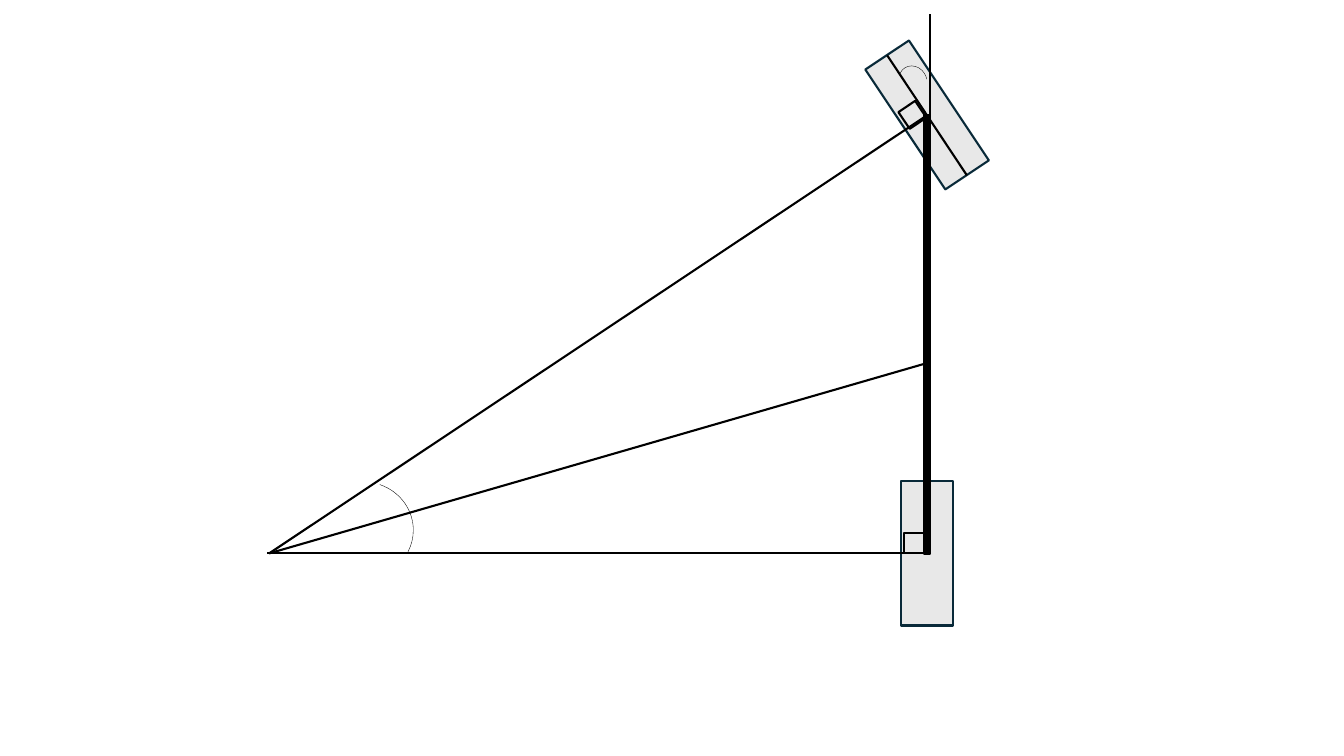
from dataclasses import dataclass
from typing import Optional

import pptx
import pptx.dml.color
import pptx.enum.shapes
import pptx.oxml.ns
import pptx.util
from lxml import etree

PX = pptx.util.Inches(1) // 100
SHAPES = pptx.enum.shapes.MSO_SHAPE
BLACK = pptx.dml.color.RGBColor(0x00, 0x00, 0x00)
TYRE_FILL = pptx.dml.color.RGBColor(0xE8, 0xE8, 0xE8)
TYRE_EDGE = pptx.dml.color.RGBColor(0x09, 0x2A, 0x39)
THIN, NORMAL = 0.25, 1.5
# Connection sites of a rectangle
LEFT, RIGHT = 1, 3


@dataclass(frozen=True)
class Figure:
    left: int
    top: int
    width: int
    height: int
    rotation: float = 0
    kind: SHAPES = SHAPES.RECTANGLE
    fill: Optional[pptx.dml.color.RGBColor] = None
    edge: pptx.dml.color.RGBColor = BLACK
    weight: float = NORMAL
    angles: tuple[float, ...] = ()


@dataclass(frozen=True)
class Joint:
    body: pptx.shapes.autoshape.Shape
    site: int


@dataclass(frozen=True)
class Segment:
    start: tuple[int, int]
    end: tuple[int, int]
    start_joint: Optional[Joint] = None
    end_joint: Optional[Joint] = None


def draw_figure(shapes, figure: Figure) -> pptx.shapes.autoshape.Shape:
    shape = shapes.add_shape(figure.kind, figure.left * PX, figure.top * PX,
                             figure.width * PX, figure.height * PX)
    shape.shadow.inherit = False
    shape.rotation = figure.rotation
    if figure.fill is None:
        shape.fill.background()
    else:
        shape.fill.solid()
        shape.fill.fore_color.rgb = figure.fill
    shape.line.color.rgb = figure.edge
    shape.line.width = pptx.util.Pt(figure.weight)
    for index, degrees in enumerate(figure.angles):
        shape.adjustments[index] = degrees * 0.6  # 60000 units a degree, scaled by 100000
    return shape


def draw_segment(shapes, segment: Segment) -> None:
    """Joins first, then sets both ends, since joining ignores rotation."""
    line = shapes.add_connector(pptx.enum.shapes.MSO_CONNECTOR.STRAIGHT, 0, 0, 0, 0)
    if segment.start_joint:
        line.begin_connect(segment.start_joint.body, segment.start_joint.site)
    if segment.end_joint:
        line.end_connect(segment.end_joint.body, segment.end_joint.site)
    line.begin_x, line.begin_y = (value * PX for value in segment.start)
    line.end_x, line.end_y = (value * PX for value in segment.end)
    line.line.color.rgb = BLACK
    line.line.width = pptx.util.Pt(NORMAL)
    properties = line._element.spPr
    etree.SubElement(properties, pptx.oxml.ns.qn("a:effectLst"))


def main() -> None:
    presentation = pptx.Presentation()
    presentation.slide_width = 1333 * PX
    presentation.slide_height = 750 * PX
    slide = presentation.slides.add_slide(presentation.slide_layouts[6])
    shapes = slide.shapes

    bicycle = shapes.add_group_shape().shapes
    draw_figure(bicycle, Figure(848, 523, 143, 52, 270, fill=TYRE_FILL, edge=TYRE_EDGE))
    front_wheel = draw_figure(
        bicycle, Figure(848, 88, 143, 52, 236.3, fill=TYRE_FILL, edge=TYRE_EDGE))
    frame = draw_figure(bicycle, Figure(702, 329, 435, 6, 270, fill=BLACK))

    turning_centre = (267, 549)
    rear_axle, front_axle = (920, 549), (920, 114)
    right_angles = (Figure(897, 529, 20, 20), Figure(895, 104, 20, 20, 326))
    turning_angle = Figure(310, 478, 100, 96, kind=SHAPES.ARC, weight=THIN,
                           angles=(290.35, 25.75))
    steering_angle = Figure(892, 65, 27, 30, 327.9, kind=SHAPES.ARC, weight=THIN,
                            angles=(235.42, 25.75))
    segments = (
        Segment((265, 549), rear_axle, end_joint=Joint(frame, LEFT)),
        Segment((880, 55), (959, 174), Joint(front_wheel, RIGHT), Joint(front_wheel, LEFT)),
        Segment(turning_centre, front_axle, end_joint=Joint(frame, RIGHT)),
        Segment(turning_centre, (920, 360)),
        Segment((922, 14), (922, 114)),
    )
    for segment in segments:
        draw_segment(shapes, segment)
    for figure in (*right_angles, turning_angle, steering_angle):
        draw_figure(shapes, figure)

    presentation.save("out.pptx")


if __name__ == "__main__":
    main()
